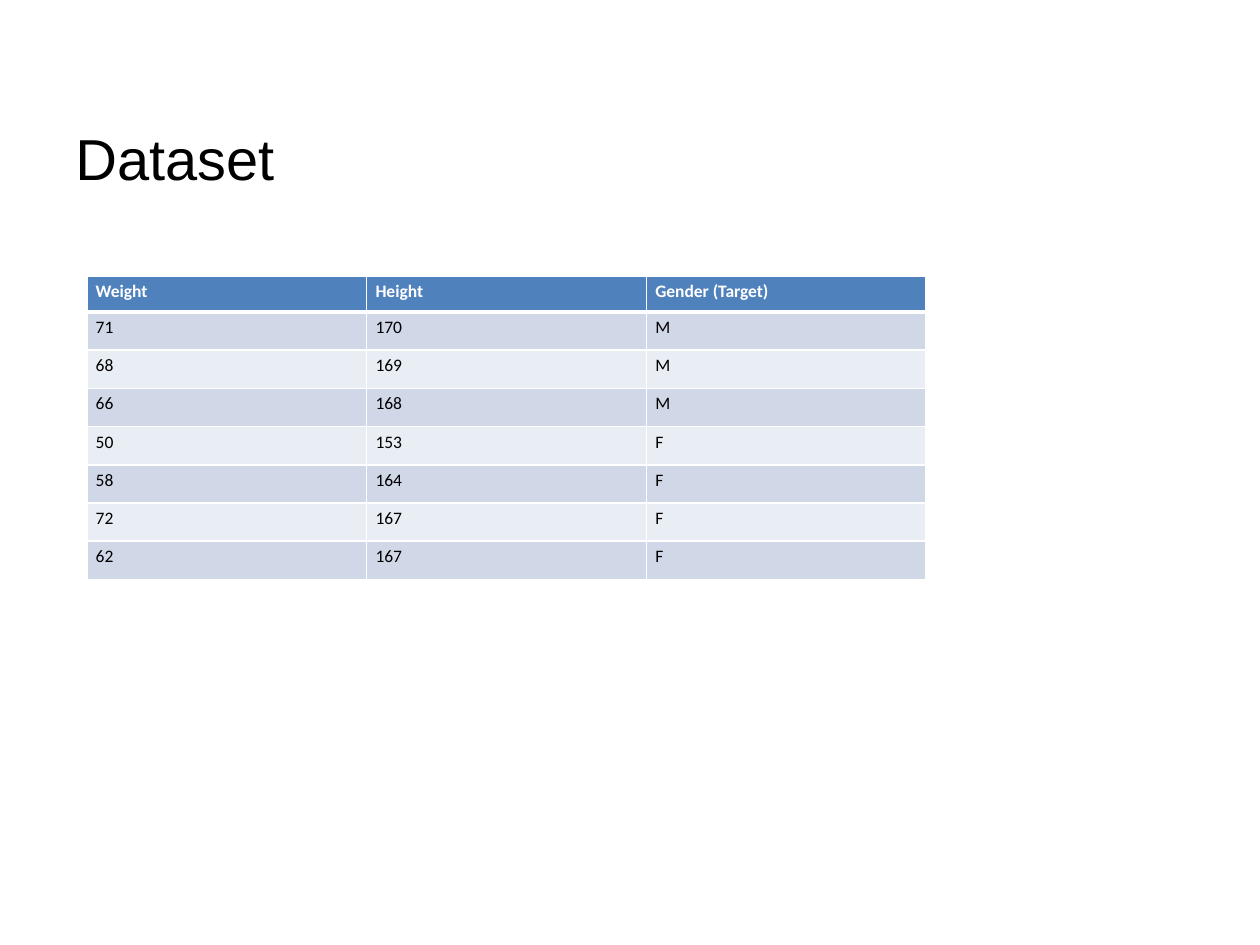
from lxml import etree
from pptx import Presentation
from pptx.dml.color import RGBColor
from pptx.enum.text import MSO_ANCHOR
from pptx.oxml.ns import qn
from pptx.util import Cm, Pt

MIDDLE = MSO_ANCHOR.MIDDLE
BLACK = RGBColor(0x00, 0x00, 0x00)
WHITE = RGBColor(0xFF, 0xFF, 0xFF)
HEADER_BLUE = RGBColor(0x4F, 0x81, 0xBD)
DARK_BAND = RGBColor(0xD0, 0xD8, 0xE8)
LIGHT_BAND = RGBColor(0xE9, 0xED, 0xF4)

DATASET = [
    ("Weight", "Height", "Gender (Target)"),
    (71, 170, "M"),
    (68, 169, "M"),
    (66, 168, "M"),
    (50, 153, "F"),
    (58, 164, "F"),
    (72, 167, "F"),
    (62, 167, "F"),
]


class SlideBuilder:
    title_font = {"name": "Arial", "size": Pt(33)}
    table_font = {"name": "Calibri", "size": Pt(10)}
    cell_margins = {
        "margin_left": Cm(0.18), "margin_right": Cm(0.18),
        "margin_top": Cm(0.1), "margin_bottom": Cm(0.1),
    }
    thin_border, thick_border = Pt(1), Pt(3)

    def __init__(self, slide):
        self.slide = slide

    def add_text(self, text_frame, text, color, font_format):
        paragraph = text_frame.paragraphs[0]
        run = paragraph.add_run()
        run.text = str(text)
        for name, value in font_format.items():
            setattr(run.font, name, value)
        run.font.color.rgb = color

    def title(self, text, left, top, width, height):
        text_box = self.slide.shapes.add_textbox(left, top, width, height)
        text_frame = text_box.text_frame
        text_frame.word_wrap = True
        text_frame.vertical_anchor = MIDDLE
        self.add_text(text_frame, text, BLACK, self.title_font)

    def border(self, cell, side, width):
        properties = cell._tc.get_or_add_tcPr()
        line = etree.SubElement(properties, qn(f"a:ln{side}"), w=str(width))
        fill = etree.SubElement(line, qn("a:solidFill"))
        etree.SubElement(fill, qn("a:srgbClr"), val=str(WHITE))

    def table(self, rows, left, top, column_width, header_height, row_height):
        column_count = len(rows[0])
        height = header_height + row_height * (len(rows) - 1)
        table = self.slide.shapes.add_table(
            len(rows), column_count, left, top,
            column_width * column_count, height).table
        for column in table.columns:
            column.width = column_width
        for row_index, values in enumerate(rows):
            is_header = row_index == 0
            table.rows[row_index].height = header_height if is_header else row_height
            band = DARK_BAND if row_index % 2 else LIGHT_BAND
            # The rule below the header is shared with the first data row
            widths = {
                "L": self.thin_border, "R": self.thin_border,
                "T": self.thick_border if row_index == 1 else self.thin_border,
                "B": self.thick_border if is_header else self.thin_border,
            }
            for column_index, value in enumerate(values):
                cell = table.cell(row_index, column_index)
                for name, margin in self.cell_margins.items():
                    setattr(cell, name, margin)
                for side, width in widths.items():
                    self.border(cell, side, width)
                cell.fill.solid()
                cell.fill.fore_color.rgb = HEADER_BLUE if is_header else band
                self.add_text(cell.text_frame, value, WHITE if is_header else BLACK,
                              {**self.table_font, "bold": is_header})


def main():
    presentation = Presentation()
    presentation.slide_width, presentation.slide_height = Cm(25.4), Cm(19.05)
    builder = SlideBuilder(presentation.slides.add_slide(presentation.slide_layouts[6]))

    # Title
    builder.title("Dataset", Cm(1.27), Cm(1.58), Cm(22.86), Cm(3.18))

    # Data table
    builder.table(DATASET, left=Cm(1.75), top=Cm(5.57), column_width=Cm(5.64),
                  header_height=Cm(0.72), row_height=Cm(0.77))

    presentation.save("out.pptx")


if __name__ == "__main__":
    main()
